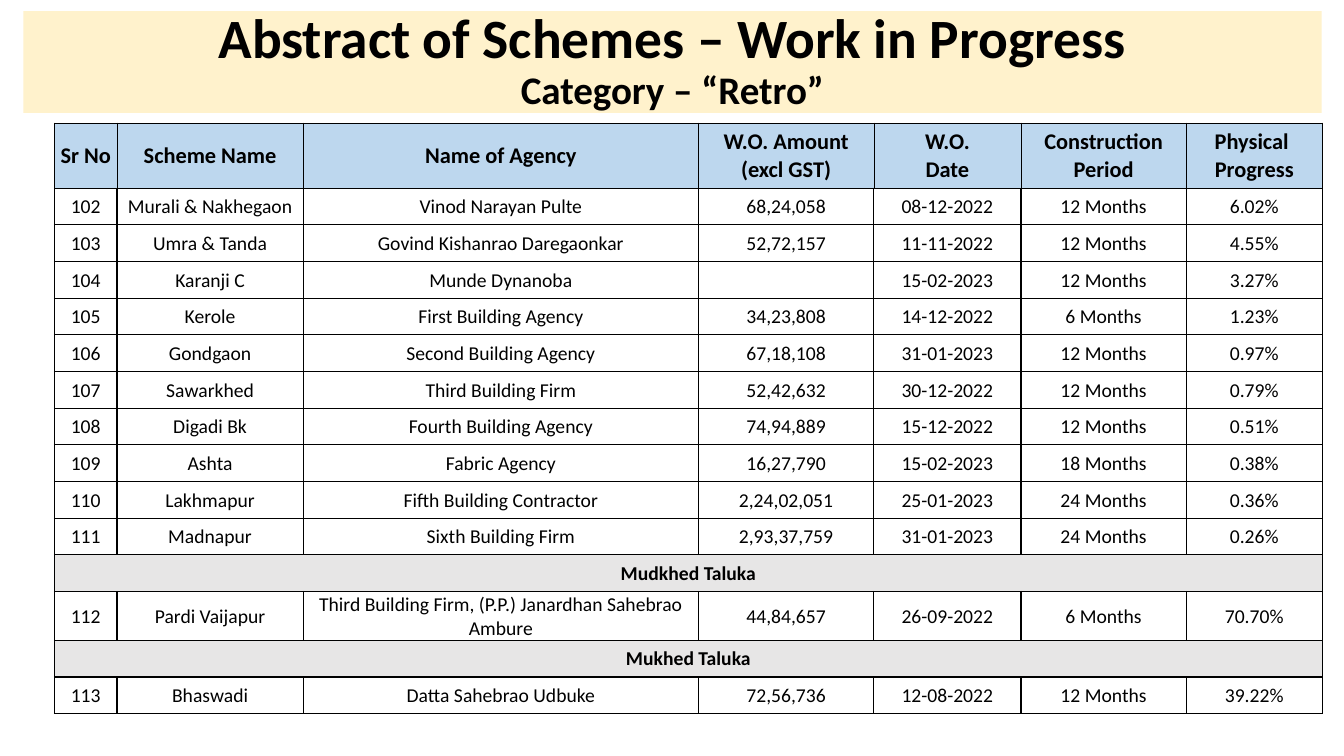
from copy import deepcopy
from dataclasses import dataclass

from lxml.etree import SubElement
from pptx import Presentation
from pptx.dml.color import RGBColor
from pptx.enum.text import MSO_ANCHOR, MSO_AUTO_SIZE, PP_ALIGN
from pptx.oxml.ns import qn
from pptx.util import Pt


@dataclass(frozen=True)
class Theme:
    """Colours, font and type sizes of the slide."""
    font: str = "Calibri"
    ink: str = "000000"
    banner: str = "FFF2CC"
    header: str = "BDD7EE"
    taluka: str = "E7E6E6"
    title_size: float = 39.6
    category_size: float = 27.9
    header_size: float = 16
    body_size: float = 14


THEME = Theme()
COLUMN_WIDTHS = [44.64, 133.2, 282.24, 125.28, 105.12, 118.08, 97.2]
TABLE_LEFT, HEADER_TOP, HEADER_HEIGHT = 38.9, 87.8, 46.6
BODY_TOP, ROW_HEIGHT = 134.4, 26.2

HEADINGS = [
    ["Sr No"],
    ["Scheme Name"],
    ["Name of Agency"],
    ["W.O. Amount\n(excl GST)"],
    ["W.O.\nDate"],
    ["Construction\nPeriod"],
    ["Physical ", "Progress"],
]
SCHEMES = [
    ("102", "Murali & Nakhegaon", "Vinod Narayan Pulte", "68,24,058", "08-12-2022", "12 Months", "6.02%"),
    ("103", "Umra & Tanda", "Govind Kishanrao Daregaonkar", "52,72,157", "11-11-2022", "12 Months", "4.55%"),
    ("104", "Karanji C", "Munde Dynanoba", "", "15-02-2023", "12 Months", "3.27%"),
    ("105", "Kerole", "First Building Agency", "34,23,808", "14-12-2022", "6 Months", "1.23%"),
    ("106", "Gondgaon", "Second Building Agency", "67,18,108", "31-01-2023", "12 Months", "0.97%"),
    ("107", "Sawarkhed", "Third Building Firm", "52,42,632", "30-12-2022", "12 Months", "0.79%"),
    ("108", "Digadi Bk", "Fourth Building Agency", "74,94,889", "15-12-2022", "12 Months", "0.51%"),
    ("109", "Ashta", "Fabric Agency", "16,27,790", "15-02-2023", "18 Months", "0.38%"),
    ("110", "Lakhmapur", "Fifth Building Contractor", "2,24,02,051", "25-01-2023", "24 Months", "0.36%"),
    ("111", "Madnapur", "Sixth Building Firm", "2,93,37,759", "31-01-2023", "24 Months", "0.26%"),
    ("Mudkhed Taluka",),
    ("112", "Pardi Vaijapur", "Third Building Firm, (P.P.) Janardhan Sahebrao Ambure",
     "44,84,657", "26-09-2022", "6 Months", "70.70%"),
    ("Mukhed Taluka",),
    ("113", "Bhaswadi", "Datta Sahebrao Udbuke", "72,56,736", "12-08-2022", "12 Months", "39.22%"),
]


def add_run(paragraph, text, size, bold):
    """Add one formatted run to a paragraph."""
    run = paragraph.add_run()
    run.text = text
    run.font.name = THEME.font
    run.font.size = Pt(size)
    run.font.bold = bold
    run.font.color.rgb = RGBColor.from_string(THEME.ink)
    return run


def add_break(paragraph, run):
    """Add a line break that takes the formatting of the run before it."""
    paragraph.add_line_break()
    paragraph._p[-1].append(deepcopy(run._r.rPr))


def add_title(slide):
    """Place the banner title with its category line."""
    title = slide.shapes.title
    title.left, title.top, title.width, title.height = Pt(16.6), Pt(8), Pt(927.4), Pt(72.7)
    title.fill.solid()
    title.fill.fore_color.rgb = RGBColor.from_string(THEME.banner)
    frame = title.text_frame
    frame.auto_size = MSO_AUTO_SIZE.NONE
    frame.word_wrap = True
    frame.vertical_anchor = MSO_ANCHOR.MIDDLE
    paragraph = frame.paragraphs[0]
    paragraph.alignment = PP_ALIGN.CENTER
    paragraph.line_spacing = 0.9
    heading = add_run(paragraph, "Abstract of Schemes – Work in Progress", THEME.title_size, True)
    add_break(paragraph, heading)
    add_run(paragraph, "Category – “Retro”", THEME.category_size, True)


def set_borders(cell, width, bottom):
    """Draw the four borders of a cell."""
    properties = cell._tc.get_or_add_tcPr()
    for side, points in (("L", width), ("R", width), ("T", width), ("B", bottom)):
        line = SubElement(properties, qn(f"a:ln{side}"), w=str(Pt(points)))
        SubElement(SubElement(line, qn("a:solidFill")), qn("a:srgbClr"), val=THEME.ink)


def style_cell(cell, fill, width, bottom):
    """Set the borders, fill, margins and anchor of a cell."""
    set_borders(cell, width, bottom)
    if fill:
        cell.fill.solid()
        cell.fill.fore_color.rgb = RGBColor.from_string(fill)
    else:
        cell.fill.background()
    cell.margin_left = cell.margin_right = cell.margin_top = Pt(0.72)
    cell.margin_bottom = Pt(0)
    cell.vertical_anchor = MSO_ANCHOR.MIDDLE


def write_cell(cell, paragraphs, size, bold):
    """Write centred paragraphs, breaking lines where marked."""
    frame = cell.text_frame
    for number, text in enumerate(paragraphs):
        paragraph = frame.add_paragraph() if number else frame.paragraphs[0]
        paragraph.alignment = PP_ALIGN.CENTER
        run = None
        for line in text.split("\n"):
            if run is not None:
                add_break(paragraph, run)
            run = add_run(paragraph, line, size, bold)


def add_grid(slide, top, row_count, row_height):
    """Add a plain table on the shared column grid."""
    frame = slide.shapes.add_table(row_count, len(COLUMN_WIDTHS), Pt(TABLE_LEFT), Pt(top),
                                   Pt(sum(COLUMN_WIDTHS)), Pt(row_count * row_height))
    table = frame.table
    table.first_row = table.horz_banding = False
    for column, width in zip(table.columns, COLUMN_WIDTHS):
        column.width = Pt(width)
    for row in table.rows:
        row.height = Pt(row_height)
    return table


def add_header(slide):
    """Add the table of column headings."""
    table = add_grid(slide, HEADER_TOP, 1, HEADER_HEIGHT)
    for cell, heading in zip(table.rows[0].cells, HEADINGS):
        style_cell(cell, THEME.header, 0.5, 1)
        write_cell(cell, heading, THEME.header_size, True)


def add_schemes(slide):
    """Add the scheme rows, with taluka names across the full width."""
    table = add_grid(slide, BODY_TOP, len(SCHEMES), ROW_HEIGHT)
    for row, scheme in zip(table.rows, SCHEMES):
        is_taluka = len(scheme) == 1
        cells = list(row.cells)
        for cell in cells:
            style_cell(cell, THEME.taluka if is_taluka else None, 1, 1)
        if is_taluka:
            cells[0].merge(cells[-1])
        for cell, value in zip(cells, scheme):
            if value:
                write_cell(cell, [value], THEME.body_size, is_taluka)


def main():
    """Build the slide and save it."""
    deck = Presentation()
    deck.slide_width, deck.slide_height = Pt(960), Pt(540)
    slide = deck.slides.add_slide(deck.slide_layouts[5])
    add_title(slide)
    add_header(slide)
    add_schemes(slide)
    deck.save("out.pptx")


if __name__ == "__main__":
    main()
